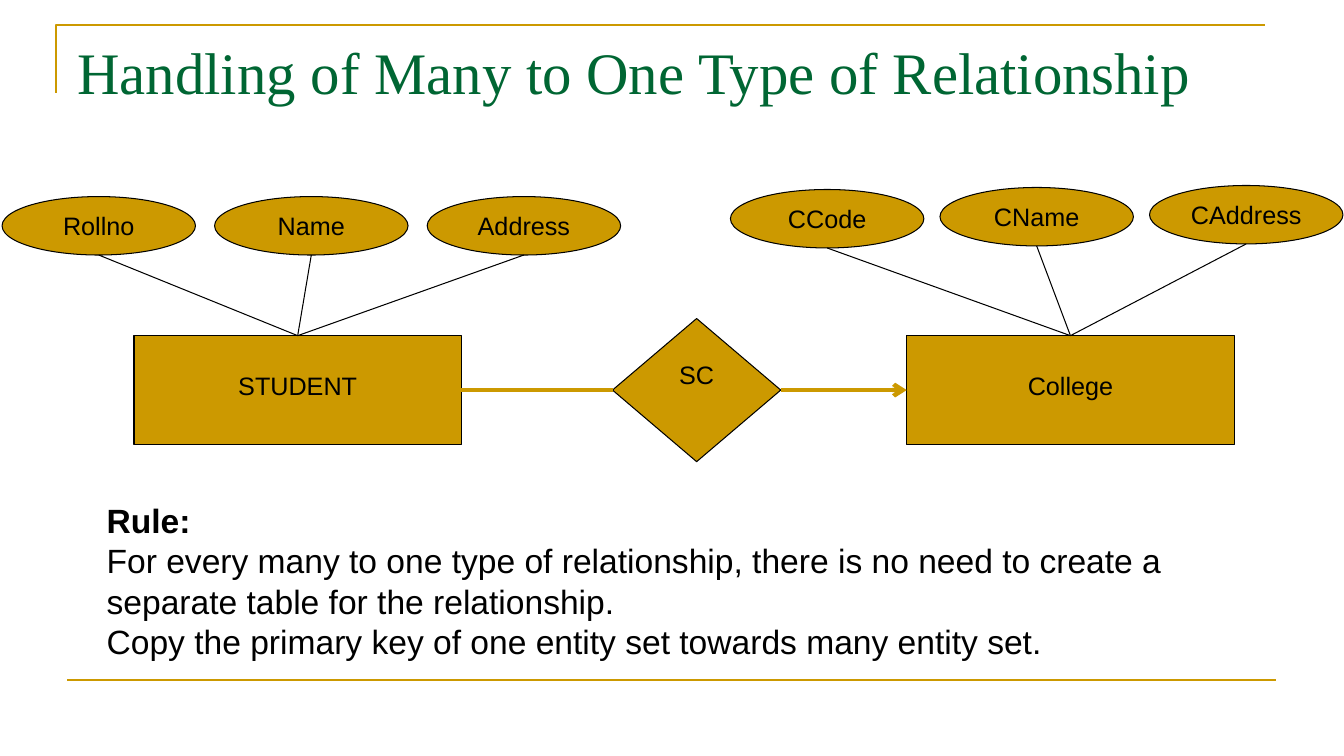
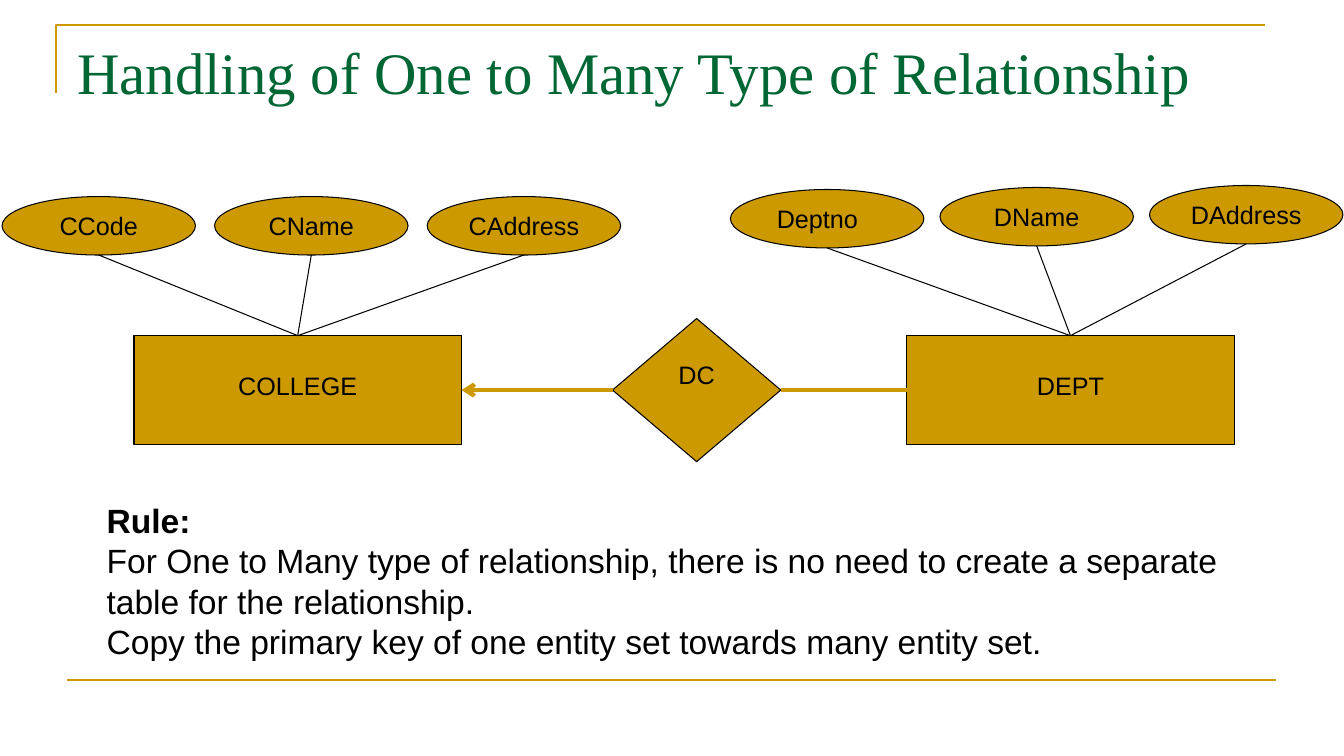
from dataclasses import dataclass

from lxml import etree
from pptx import Presentation
from pptx.dml.color import RGBColor
from pptx.enum.shapes import MSO_CONNECTOR, MSO_SHAPE
from pptx.enum.text import MSO_ANCHOR, PP_ALIGN
from pptx.oxml.ns import qn
from pptx.util import Inches, Pt

STRAIGHT = MSO_CONNECTOR.STRAIGHT
RECTANGLE, ELLIPSE = MSO_SHAPE.RECTANGLE, MSO_SHAPE.OVAL
DIAMOND = MSO_SHAPE.FLOWCHART_DECISION
TOP, LEFT, RIGHT = 0, 1, 3  # connection sites


@dataclass(frozen=True)
class Theme:
    gold = RGBColor(0xCC, 0x99, 0x00)
    green = RGBColor(0x00, 0x66, 0x33)
    black = RGBColor(0x00, 0x00, 0x00)
    title_font = "Times New Roman"
    body_font = "Arial"
    title_size = Pt(42)
    rule_size = Pt(24)
    label_size = Pt(18)
    outline = Pt(0.75)
    frame = Pt(1.5)
    link = Pt(3)


THEME = Theme()

COPY_KEY = "Copy the primary key of one entity set towards many entity set."
SLIDES = [
    {
        "title": "Handling of Many to One Type of Relationship",
        "entities": [
            ("STUDENT", ["Rollno", "Name", "Address"]),
            ("College", ["CCode", "CName", "CAddress"]),
        ],
        "relationship": "SC",
        "one_side": "College",
        "rule": [
            "Rule:",
            "For every many to one type of relationship, there is no need to "
            "create a separate table for the relationship.",
            COPY_KEY,
        ],
    },
    {
        "title": "Handling of One to Many Type of Relationship",
        "entities": [
            ("COLLEGE", ["CCode", "CName", "CAddress"]),
            ("DEPT", ["Deptno\t", "DName", "DAddress"]),
        ],
        "relationship": "DC",
        "one_side": "COLLEGE",
        "rule": [
            "Rule:",
            "For One to Many type of relationship, there is no need to "
            "create a separate table for the relationship.",
            COPY_KEY,
        ],
    },
]

# For each side: the entity's left edge, its site facing the diamond, the
# diamond's site facing it, and the first attribute's place with its step.
SIDES = [
    {"left": 1.33, "entity_site": RIGHT, "diamond_site": LEFT,
     "first": (0.02, 1.95), "step": (2.11, 0)},
    {"left": 9, "entity_site": LEFT, "diamond_site": RIGHT,
     "first": (7.25, 1.88), "step": (2.08, -0.02)},
]
ENTITY_TOP, ENTITY_WIDTH, ENTITY_HEIGHT = 3.33, 3.25, 1.08
ATTRIBUTE_WIDTH, ATTRIBUTE_HEIGHT = 1.92, 0.58
DIAMOND_PLACE = (6.08, 3.16, 1.67, 1.42)


def style_font(paragraph, name, size, color, bold=False):
    for span in paragraph.runs:
        span.font.name = name
        span.font.size = size
        span.font.color.rgb = color
        span.font.bold = bold


def add_node(page, kind, place, label, top_inset=0.05):
    """Add a gold diagram shape with a centred label."""
    node = page.shapes.add_shape(kind, *map(Inches, place))
    node.shadow.inherit = False
    node.fill.solid()
    node.fill.fore_color.rgb = THEME.gold
    node.line.color.rgb = THEME.black
    node.line.width = THEME.outline
    frame = node.text_frame
    frame.word_wrap = False
    frame.vertical_anchor = MSO_ANCHOR.TOP
    frame.margin_top = Inches(top_inset)
    frame.text = label
    paragraph = frame.paragraphs[0]
    paragraph.alignment = PP_ALIGN.CENTER
    style_font(paragraph, THEME.body_font, THEME.label_size, THEME.black)
    return node


def add_line(page, color, width, start=(0, 0), end=(0, 0)):
    line = page.shapes.add_connector(STRAIGHT, *start, *end)
    line.line.color.rgb = color
    line.line.width = width
    etree.SubElement(line._element.spPr, qn("a:effectLst"))
    return line


def add_arrowhead(line):
    etree.SubElement(line.line._get_or_add_ln(), qn("a:tailEnd"), type="arrow")


def add_text(page, place, lines, font, size, color):
    box = page.shapes.add_textbox(*map(Inches, place))
    box.text_frame.word_wrap = True
    box.text_frame.text = "\n".join(lines)
    for paragraph in box.text_frame.paragraphs:
        style_font(paragraph, font, size, color)
    return box


def add_frame(page, title):
    """Add the corner line, the bottom line and the title."""
    builder = page.shapes.build_freeform(Inches(0.56), Inches(0.92))
    builder.add_line_segments(
        [(Inches(0.56), Inches(0.25)), (Inches(12.56), Inches(0.25))], close=False)
    corner = builder.convert_to_shape()
    corner.shadow.inherit = False
    corner.fill.background()
    corner.line.color.rgb = THEME.gold
    corner.line.width = THEME.frame
    add_line(page, THEME.gold, THEME.frame,
             (Inches(0.67), Inches(6.75)), (Inches(12.67), Inches(6.75)))
    add_text(page, (0.67, 0.3, 12, 1.25), [title],
             THEME.title_font, THEME.title_size, THEME.green)


def add_entity(page, side, name, attributes):
    """Add an entity with its attributes joined to its top."""
    entity = add_node(page, RECTANGLE,
                      (side["left"], ENTITY_TOP, ENTITY_WIDTH, ENTITY_HEIGHT),
                      name, top_inset=0.34)
    (left, top), (step_x, step_y) = side["first"], side["step"]
    for index, attribute in enumerate(attributes):
        place = (left + index * step_x, top + index * step_y,
                 ATTRIBUTE_WIDTH, ATTRIBUTE_HEIGHT)
        oval = add_node(page, ELLIPSE, place, attribute)
        bottom = (oval.left + oval.width // 2, oval.top + oval.height)
        line = add_line(page, THEME.black, THEME.outline, bottom, bottom)
        line.end_connect(entity, TOP)
    return entity


def add_diagram(page, content):
    diamond = add_node(page, DIAMOND, DIAMOND_PLACE, content["relationship"])
    for side, (name, attributes) in zip(SIDES, content["entities"]):
        entity = add_entity(page, side, name, attributes)
        link = add_line(page, THEME.gold, THEME.link)
        link.begin_connect(diamond, side["diamond_site"])
        link.end_connect(entity, side["entity_site"])
        if name == content["one_side"]:
            add_arrowhead(link)


def main():
    deck = Presentation()
    deck.slide_width, deck.slide_height = Inches(13.34), Inches(7.5)
    blank = deck.slide_layouts[6]
    for content in SLIDES:
        page = deck.slides.add_slide(blank)
        add_frame(page, content["title"])
        add_diagram(page, content)
        rule = add_text(page, (0.96, 4.91, 11.42, 2.1), content["rule"],
                        THEME.body_font, THEME.rule_size, THEME.black)
        rule.text_frame.paragraphs[0].runs[0].font.bold = True
    deck.save("out.pptx")


if __name__ == "__main__":
    main()
